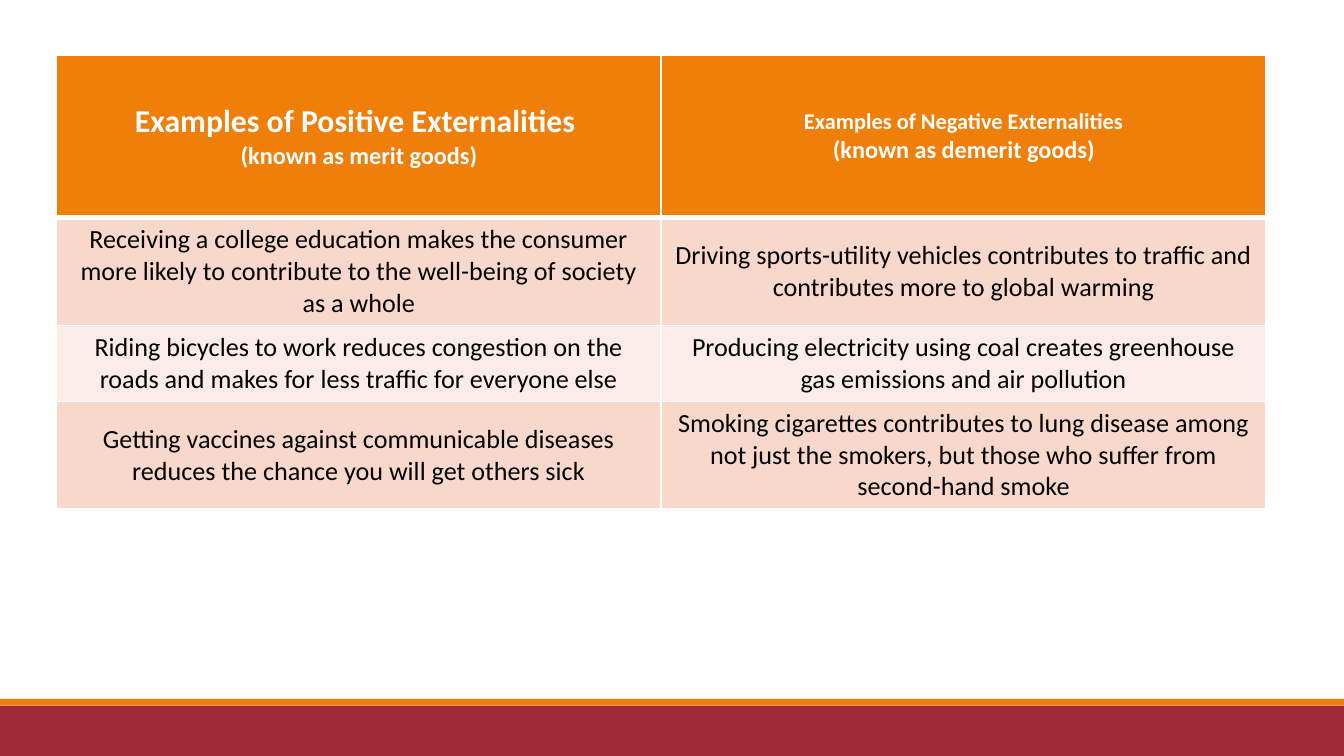
import pptx
import pptx.dml.color
import pptx.enum.shapes
import pptx.enum.text
import pptx.oxml
import pptx.oxml.ns
import pptx.util
from pptx.util import Inches

SLIDE_WIDTH = 10
SLIDE_HEIGHT = SLIDE_WIDTH * 9 / 16

COLORS = {
    "orange": "F07F09",
    "red": "9F2936",
    "band_dark": "F9D8CC",
    "band_light": "FCECE7",
    "white": "FFFFFF",
    "black": "000000",
}

# Each header cell holds (text, size) lines.
HEADERS = [
    [("Examples of Positive Externalities ", 17), ("(known as merit goods)", 13)],
    [("Examples of Negative Externalities", 12), ("(known as demerit goods)", 13)],
]
EXAMPLES = [
    ("Receiving a college education makes the consumer more likely to contribute "
     "to the well-being of society as a whole",
     "Driving sports-utility vehicles contributes to traffic and contributes more "
     "to global warming"),
    ("Riding bicycles to work reduces congestion on the roads and makes for less "
     "traffic for everyone else",
     "Producing electricity using coal creates greenhouse gas emissions and air pollution"),
    ("Getting vaccines against communicable diseases reduces the chance you will "
     "get others sick",
     "Smoking cigarettes contributes to lung disease among not just the smokers, "
     "but those who suffer from second-hand smoke"),
]
BODY_SIZE = 14
COLUMN_WIDTH = 4.5
ROW_HEIGHTS = [1.21, 0.74, 0.52, 0.74]
SIDE_MARGIN = pptx.util.Pt(6.6)
END_MARGIN = pptx.util.Pt(3.3)

# Footer bars: top, bottom, color
BARS = [(5.25, SLIDE_HEIGHT, "red"), (5.2, 5.25, "orange")]


def rgb(name):
    return pptx.dml.color.RGBColor.from_string(COLORS[name])


def add_bar(page, top, bottom, color):
    bar = page.shapes.add_shape(
        pptx.enum.shapes.MSO_SHAPE.RECTANGLE,
        0, Inches(top), Inches(SLIDE_WIDTH), Inches(bottom - top))
    bar.shadow.inherit = False
    bar.fill.solid()
    bar.fill.fore_color.rgb = rgb(color)
    bar.line.fill.background()


def set_borders(cell, widths):
    """Draw white cell borders; widths are points for left, right, top, bottom."""
    properties = cell._tc.get_or_add_tcPr()
    for index, (side, width) in enumerate(zip("LRTB", widths)):
        border = pptx.oxml.parse_xml(
            f'<a:ln{side} {pptx.oxml.ns.nsdecls("a")} w="{pptx.util.Pt(width)}">'
            f'<a:solidFill><a:srgbClr val="{COLORS["white"]}"/></a:solidFill>'
            f'</a:ln{side}>')
        properties.insert(index, border)


def fill_cell(cell, lines, fill, color, bold):
    cell.fill.solid()
    cell.fill.fore_color.rgb = rgb(fill)
    cell.vertical_anchor = pptx.enum.text.MSO_ANCHOR.MIDDLE
    cell.margin_left = cell.margin_right = SIDE_MARGIN
    cell.margin_top = cell.margin_bottom = END_MARGIN
    cell.text = "\n".join(text for text, size in lines)
    for para, (text, size) in zip(cell.text_frame.paragraphs, lines):
        para.alignment = pptx.enum.text.PP_ALIGN.CENTER
        para.font.name = "Calibri"
        para.font.size = pptx.util.Pt(size)
        para.font.bold = bold
        para.font.color.rgb = rgb(color)


def add_examples_table(page):
    rows = [HEADERS] + [[[(text, BODY_SIZE)] for text in row] for row in EXAMPLES]
    table = page.shapes.add_table(
        len(rows), len(HEADERS), Inches(0.42), Inches(0.41),
        Inches(COLUMN_WIDTH * len(HEADERS)), Inches(sum(ROW_HEIGHTS))).table
    for column in table.columns:
        column.width = Inches(COLUMN_WIDTH)
    for number, (cells, height) in enumerate(zip(rows, ROW_HEIGHTS)):
        table.rows[number].height = Inches(height)
        header = number == 0
        band = "band_dark" if number % 2 else "band_light"
        for column, lines in enumerate(cells):
            cell = table.cell(number, column)
            fill_cell(cell, lines, "orange" if header else band,
                      "white" if header else "black", header)
            set_borders(cell, (1, 1, 3 if number == 1 else 1, 3 if header else 1))


def main():
    deck = pptx.Presentation()
    deck.slide_width, deck.slide_height = Inches(SLIDE_WIDTH), Inches(SLIDE_HEIGHT)
    page = deck.slides.add_slide(deck.slide_layouts[6])
    for bar in BARS:
        add_bar(page, *bar)
    add_examples_table(page)
    deck.save("out.pptx")


if __name__ == "__main__":
    main()
